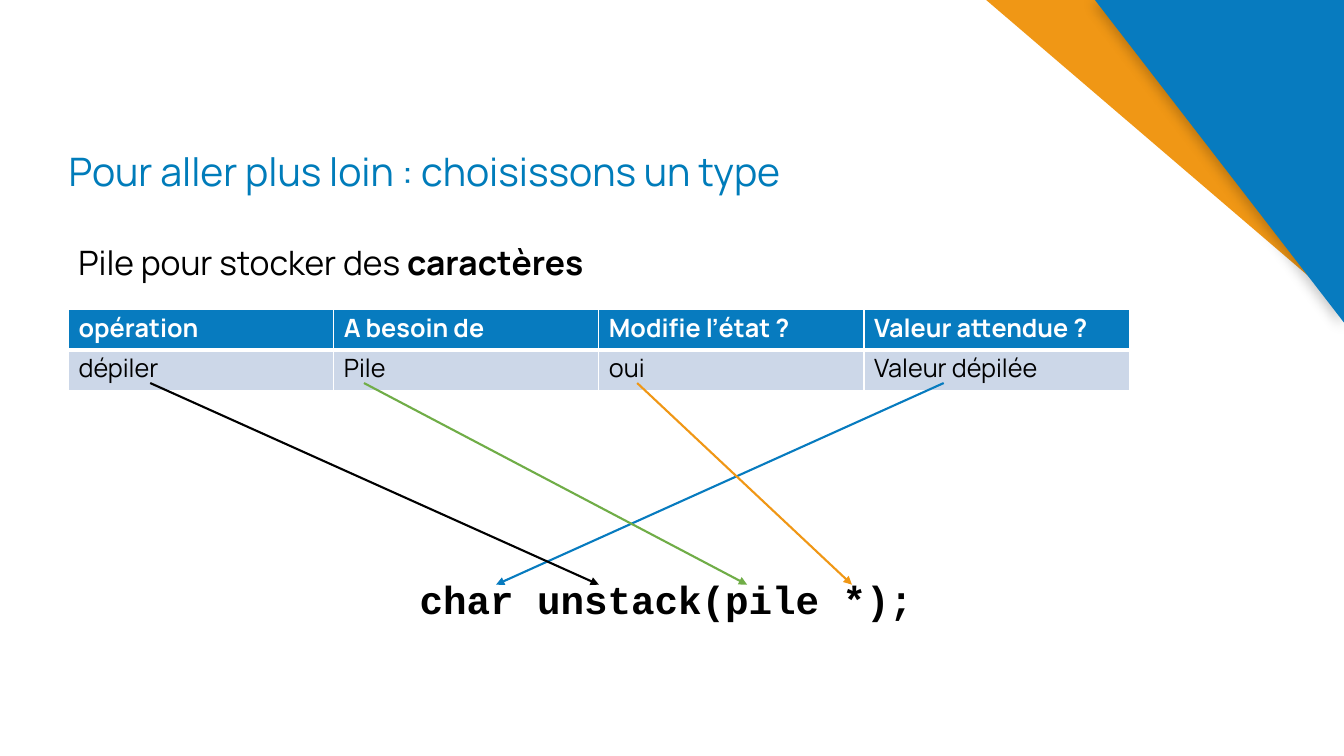
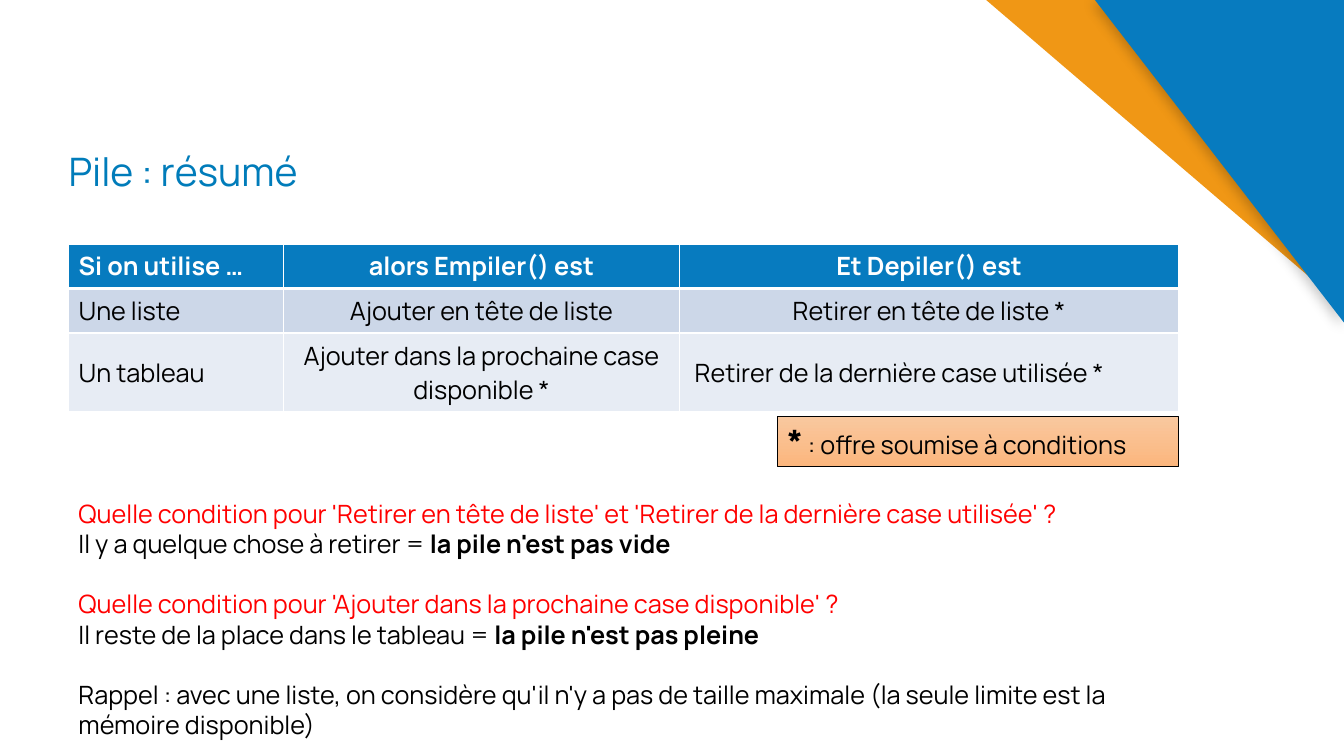
from lxml import etree
from pptx import Presentation
from pptx.dml.color import RGBColor
from pptx.enum.shapes import MSO_CONNECTOR, MSO_SHAPE
from pptx.enum.text import MSO_ANCHOR, MSO_AUTO_SIZE, PP_ALIGN
from pptx.oxml import parse_xml
from pptx.oxml.ns import nsdecls, qn
from pptx.util import Inches, Pt

STRAIGHT = MSO_CONNECTOR.STRAIGHT
RECTANGLE = MSO_SHAPE.RECTANGLE
TOP, MIDDLE, BOTTOM = MSO_ANCHOR.TOP, MSO_ANCHOR.MIDDLE, MSO_ANCHOR.BOTTOM
LEFT, CENTER = PP_ALIGN.LEFT, PP_ALIGN.CENTER
NO_FIT = MSO_AUTO_SIZE.NONE

BLUE, ORANGE, GREEN = "077BBF", "F09715", "70AD47"
TITLE_BLUE, RED, BLACK, WHITE = "007CBA", "FF0000", "000000", "FFFFFF"
ROW_FILLS = [BLUE, "CCD7E8", "E7ECF4"]
FONT, CODE_FONT = "Manrope", "Courier New"
MARGIN = 0.68

rgb = RGBColor.from_string


def write(frame, paragraphs, size, font=FONT):
    """Fill a text frame; each paragraph is a list of (text, colour, bold)."""
    frame.word_wrap = True
    frame.auto_size = NO_FIT
    frame.vertical_anchor = TOP
    for index, spans in enumerate(paragraphs):
        para = frame.paragraphs[0] if index == 0 else frame.add_paragraph()
        para.alignment = LEFT
        para.line_spacing = Pt(size * 1.2)
        for text, colour, bold in spans:
            span = para.add_run()
            span.text = text
            span.font.name = font
            span.font.size = Pt(size)
            span.font.bold = bold
            span.font.color.rgb = rgb(colour)


def add_table(slide, top, widths, heights, rows):
    """Add a table with a blue header, tinted rows and white borders."""
    table = slide.shapes.add_table(
        len(rows), len(widths), Inches(MARGIN), Inches(top),
        Inches(sum(widths)), Inches(sum(heights))).table
    for column, width in zip(table.columns, widths):
        column.width = Inches(width)
    for r, texts in enumerate(rows):
        table.rows[r].height = Inches(heights[r])
        for c, text in enumerate(texts):
            cell = table.cell(r, c)
            cell.text_frame.text = text
            font = cell.text_frame.paragraphs[0].runs[0].font
            font.name, font.size, font.bold = FONT, Pt(18), r == 0
            font.color.rgb = rgb(BLACK if r else WHITE)
            cell.fill.solid()
            cell.fill.fore_color.rgb = rgb(ROW_FILLS[r])
            borders = {"lnL": 1, "lnR": 1,
                       "lnT": 3 if r == 1 else 1, "lnB": 1 if r else 3}
            properties = cell._tc.get_or_add_tcPr()
            for index, (side, points) in enumerate(borders.items()):
                properties.insert(index, parse_xml(
                    f'<a:{side} {nsdecls("a")} w="{Pt(points)}"><a:solidFill>'
                    f'<a:srgbClr val="{WHITE}"/></a:solidFill></a:{side}>'))
    return table


deck = Presentation()
deck.slide_width = Inches(13.33)
deck.slide_height = Inches(7.5)
layout = deck.slide_layouts[5]

# Slides and their titles
slides = []
for title_text, title_width in [
        ("Pour aller plus loin : choisissons un type", 9.14),
        ("Pile : résumé", 7.92)]:
    slide = deck.slides.add_slide(layout)
    title = slide.shapes.title
    title.left, title.top = Inches(MARGIN), Inches(1.06)
    title.width, title.height = Inches(title_width), Inches(0.92)
    frame = title.text_frame
    frame.text = title_text
    frame.word_wrap = True
    frame.auto_size = NO_FIT
    frame.vertical_anchor = BOTTOM
    frame.margin_left = 0
    para = frame.paragraphs[0]
    para.alignment = LEFT
    para.line_spacing = 0.9
    font = para.runs[0].font
    font.name, font.size = FONT, Pt(28)
    font.color.rgb = rgb(TITLE_BLUE)
    slides.append(slide)
type_slide, summary_slide = slides

# Corner triangles, moved to the layout that both slides share
corners = [
    (ORANGE, [(9.77, -0.01), (13.33, 0), (13.33, 3.04)]),
    (BLUE, [(10.86, 0), (13.33, 0), (13.33, 3.2)]),
]
for index, (colour, points) in enumerate(corners):
    start, *others = [(Inches(x), Inches(y)) for x, y in points]
    builder = type_slide.shapes.build_freeform(*start)
    builder.add_line_segments(others, close=True)
    corner = builder.convert_to_shape()
    corner.fill.solid()
    corner.fill.fore_color.rgb = rgb(colour)
    corner.line.fill.background()
    corner.shadow.inherit = False
    if colour == BLUE:
        effects = corner.element.spPr.find(qn("a:effectLst"))
        effects.append(parse_xml(
            f'<a:outerShdw {nsdecls("a")} blurRad="{Pt(9)}" dist="{Pt(3)}" '
            f'dir="8100000" algn="tr" rotWithShape="0"><a:srgbClr val="{BLACK}">'
            f'<a:alpha val="22000"/></a:srgbClr></a:outerShdw>'))
    layout.shapes.element.insert(2 + index, corner.element)

# Slide 1: from the operation to its prototype
box = type_slide.shapes.add_textbox(
    Inches(MARGIN), Inches(2.35), Inches(5.86), Inches(0.5))
write(box.text_frame, [[("Pile pour stocker des ", BLACK, False),
                        ("caractères", BLACK, True)]], 24)

table = add_table(type_slide, 3.07, [2.63] * 4, [0.4] * 2, [
    ["opération", "A besoin de", "Modifie l’état ?", "Valeur attendue ?"],
    ["dépiler", "Pile", "oui", "Valeur dépilée"],
])
for cell in table.iter_cells():
    cell.text_frame.paragraphs[0].line_spacing = Pt(21.6)

box = type_slide.shapes.add_textbox(
    Inches(1.89), Inches(5.66), Inches(9.44), Inches(0.57))
write(box.text_frame, [[("char unstack(pile *);", BLACK, True)]], 28, CODE_FONT)
box.text_frame.paragraphs[0].alignment = CENTER

for start_x, end_x, colour in [(9.36, 4.92, BLUE), (1.49, 5.94, BLACK),
                               (3.61, 7.41, GREEN), (6.32, 8.45, ORANGE)]:
    arrow = type_slide.shapes.add_connector(
        STRAIGHT, Inches(start_x), Inches(3.8), Inches(end_x), Inches(5.8))
    arrow.line.color.rgb = rgb(colour)
    arrow.line.width = Pt(1.5)
    etree.SubElement(arrow.line._get_or_add_ln(), qn("a:tailEnd"), type="triangle")
    etree.SubElement(arrow.element.spPr, qn("a:effectLst"))

# Slide 2: summary of the two implementations
table = add_table(summary_slide, 2.42, [2.13, 3.93, 4.95], [0.44, 0.44, 0.78], [
    ["Si on utilise …", "alors Empiler() est", "Et Depiler() est"],
    ["Une liste", "Ajouter en tête de liste", "Retirer en tête de liste *"],
    ["Un tableau", "Ajouter dans la prochaine case disponible *",
     "Retirer de la dernière case utilisée *"],
])
for r in range(3):
    for c in range(3):
        cell = table.cell(r, c)
        cell.vertical_anchor = MIDDLE if r else TOP
        if c > 0:
            cell.text_frame.paragraphs[0].alignment = CENTER
last_cell = table.cell(2, 2)
last_cell.text_frame.paragraphs[0].alignment = LEFT
last_cell.margin_left = Inches(0.15)

note = summary_slide.shapes.add_shape(
    RECTANGLE, Inches(7.71), Inches(4.13), Inches(3.98), Inches(0.5))
note.shadow.inherit = False
note.fill.gradient()
note.fill.gradient_angle = 270
for stop, colour in zip(note.fill.gradient_stops, ["F9C89F", "FBB67D"]):
    stop.color.rgb = rgb(colour)
note.line.color.rgb = rgb(BLACK)
note.line.width = Pt(0.5)
write(note.text_frame, [[("*", BLACK, True),
                         (" : offre soumise à conditions", BLACK, False)]], 24)
note.text_frame.paragraphs[0].runs[1].font.size = Pt(18)

box = summary_slide.shapes.add_textbox(
    Inches(MARGIN), Inches(4.89), Inches(11.27), Inches(2.52))
write(box.text_frame, [
    [("Quelle condition pour 'Retirer en tête de liste' et "
      "'Retirer de la dernière case utilisée' ?", RED, False)],
    [("Il y a quelque chose à retirer = ", BLACK, False),
     ("la pile n'est pas vide", BLACK, True)],
    [("Quelle condition pour 'Ajouter dans la prochaine case disponible' ?",
      RED, False)],
    [("Il reste de la place dans le tableau = ", BLACK, False),
     ("la pile n'est pas pleine", BLACK, True)],
    [("Rappel : avec une liste, on considère qu'il n'y a pas de taille maximale "
      "(la seule limite est la mémoire disponible)", BLACK, False)],
], 18)
for para in box.text_frame.paragraphs[2::2]:
    para.space_before = Pt(21.6)

deck.save("out.pptx")
